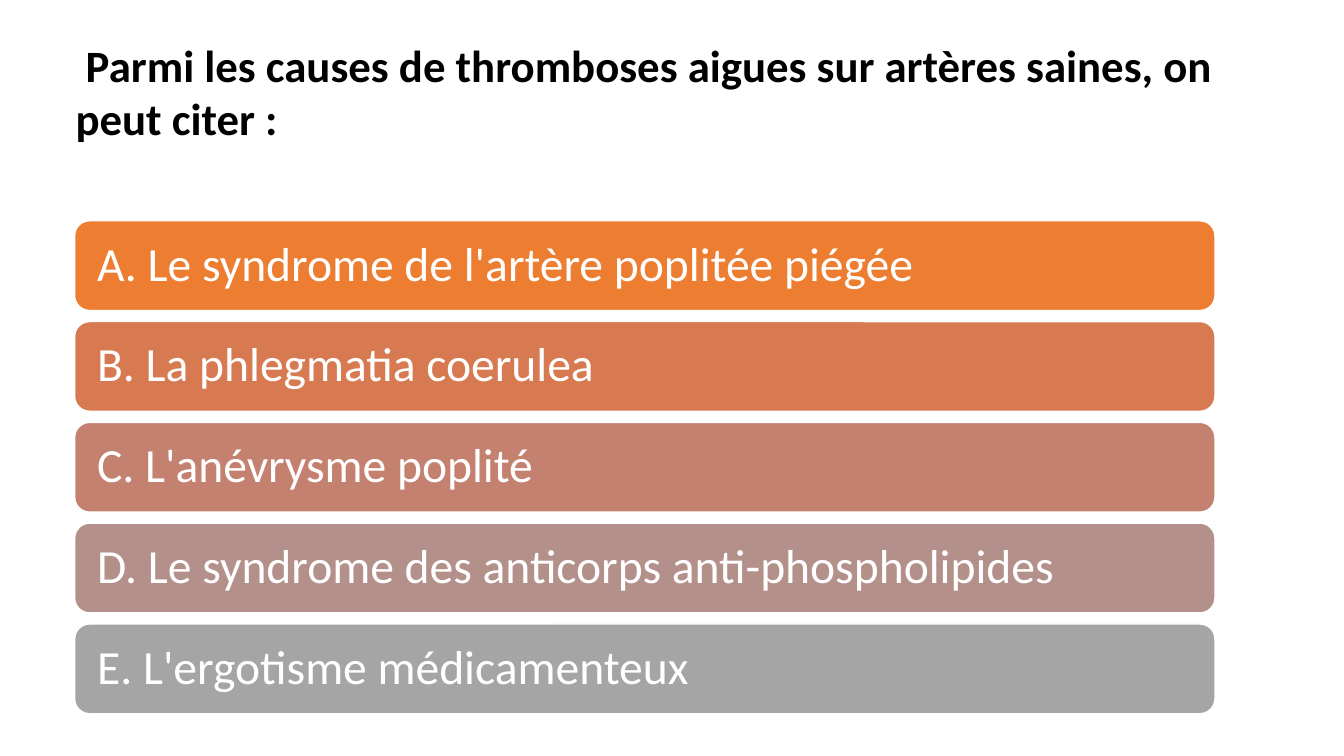
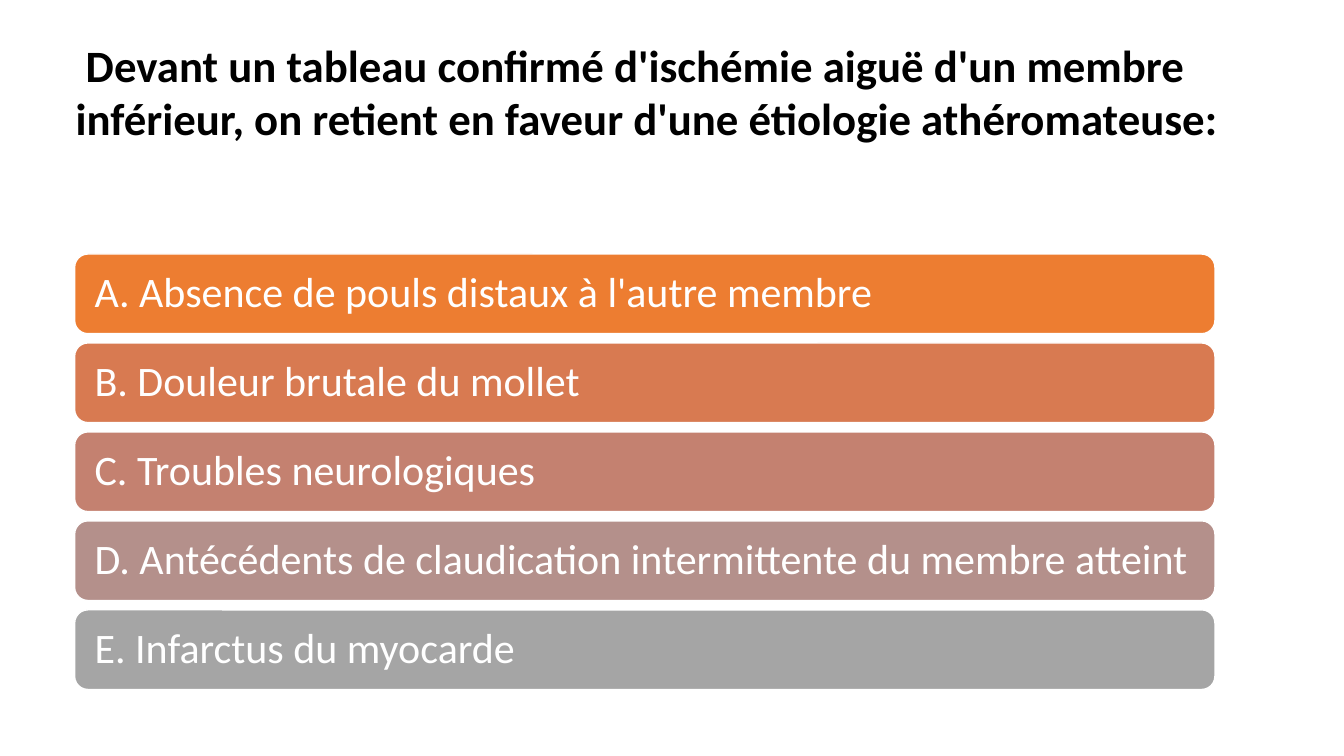
from pptx import Presentation
from pptx.dml.color import RGBColor
from pptx.enum.shapes import MSO_SHAPE
from pptx.enum.text import MSO_ANCHOR, MSO_AUTO_SIZE, PP_ALIGN
from pptx.util import Pt

EMU_PER_PX = 9144
TITLE_ONLY = 5

BLACK = RGBColor(0x00, 0x00, 0x00)
WHITE = RGBColor(0xFF, 0xFF, 0xFF)
ORANGE = RGBColor(0xED, 0x7D, 0x31)
COPPER = RGBColor(0xD8, 0x7A, 0x51)
ROSE = RGBColor(0xC4, 0x81, 0x70)
MAUVE = RGBColor(0xB4, 0x90, 0x8B)
GREY = RGBColor(0xA5, 0xA5, 0xA5)
ANSWER_COLORS = (ORANGE, COPPER, ROSE, MAUVE, GREY)

QUESTION_FONT = {"name": "Calibri", "size": Pt(32), "bold": True}
ANSWER_FONT = {"name": "Calibri", "bold": False}

ANSWER_LEFT, ANSWER_WIDTH = 74, 1131

QUIZ = (
    {
        "question": " Parmi les causes de thromboses aigues sur artères saines, on peut citer :",
        "question_height": 118,
        "answers": (
            "A. Le syndrome de l'artère poplitée piégée",
            "B. La phlegmatia coerulea",
            "C. L'anévrysme poplité",
            "D. Le syndrome des anticorps anti-phospholipides",
            "E. L'ergotisme médicamenteux",
        ),
        "top": 219, "bottom": 708, "height": 89, "inset": 18, "size": 34,
    },
    {
        "question": " Devant un tableau confirmé d'ischémie aiguë d'un membre inférieur, "
                    "on retient en faveur d'une étiologie athéromateuse:",
        "question_height": 148,
        "answers": (
            "A. Absence de pouls distaux à l'autre membre",
            "B. Douleur brutale du mollet",
            "C. Troubles neurologiques",
            "D. Antécédents de claudication intermittente du membre atteint",
            "E. Infarctus du myocarde",
        ),
        "top": 252, "bottom": 684, "height": 79, "inset": 16, "size": 30,
    },
)


def px(length):
    return round(length * EMU_PER_PX)


def apply(target, values):
    for name, value in values.items():
        setattr(target, name, value)


def write(shape, text, frame_format, paragraph_format, font_format, color):
    frame = shape.text_frame
    frame.text = text
    apply(frame, {"word_wrap": True, "auto_size": MSO_AUTO_SIZE.NONE, **frame_format})
    paragraph = frame.paragraphs[0]
    apply(paragraph, {"alignment": PP_ALIGN.LEFT, **paragraph_format})
    apply(paragraph.font, font_format)
    paragraph.font.color.rgb = color


def add_question(slide, text, height):
    question = slide.shapes.title
    apply(question, {"left": px(65), "top": px(32), "width": px(1182), "height": px(height)})
    write(question, text, {"vertical_anchor": MSO_ANCHOR.TOP}, {}, QUESTION_FONT, BLACK)


def add_answer(slide, text, color, top, item):
    bar = slide.shapes.add_shape(
        MSO_SHAPE.ROUNDED_RECTANGLE,
        px(ANSWER_LEFT), px(top), px(ANSWER_WIDTH), px(item["height"]),
    )
    bar.shadow.inherit = False
    bar.fill.solid()
    bar.fill.fore_color.rgb = color
    bar.line.color.rgb = WHITE
    bar.line.width = Pt(1)
    inset = px(item["inset"])
    write(
        bar, text,
        {"vertical_anchor": MSO_ANCHOR.MIDDLE, "margin_left": inset, "margin_right": inset},
        {"line_spacing": 0.9},
        {**ANSWER_FONT, "size": Pt(item["size"])},
        WHITE,
    )


def add_quiz_slide(deck, item):
    slide = deck.slides.add_slide(deck.slide_layouts[TITLE_ONLY])
    add_question(slide, item["question"], item["question_height"])
    answers = item["answers"]
    pitch = (item["bottom"] - item["height"] - item["top"]) / (len(answers) - 1)
    for row, (answer, color) in enumerate(zip(answers, ANSWER_COLORS)):
        add_answer(slide, answer, color, item["top"] + row * pitch, item)


def main():
    deck = Presentation()
    apply(deck, {"slide_width": px(1333), "slide_height": px(750)})
    for item in QUIZ:
        add_quiz_slide(deck, item)
    deck.save("out.pptx")


if __name__ == "__main__":
    main()
